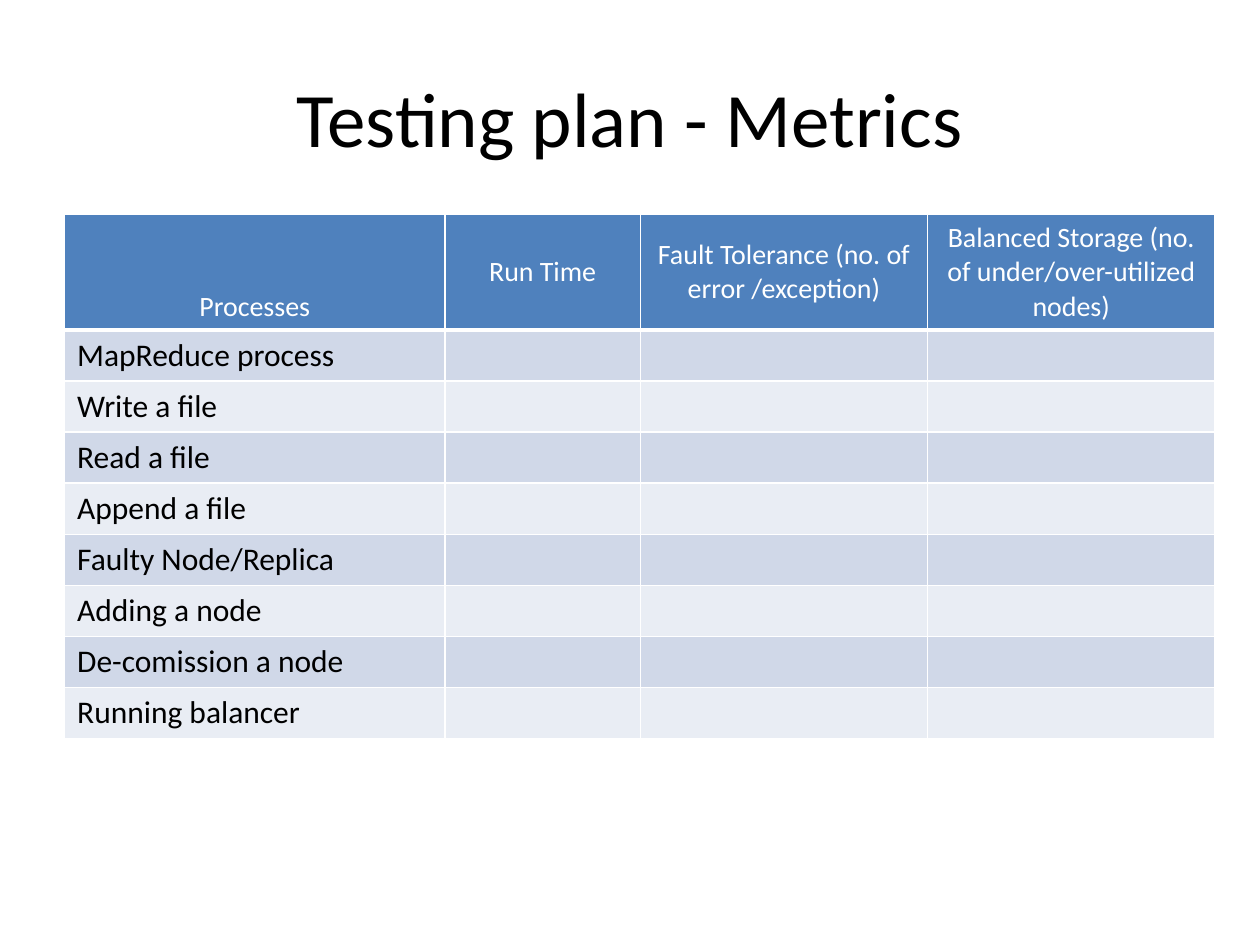
from typing import NamedTuple

from lxml.etree import SubElement
from pptx import Presentation
from pptx.dml.color import RGBColor
from pptx.enum.text import MSO_ANCHOR as Anchor, PP_ALIGN as Align
from pptx.oxml.ns import qn
from pptx.util import Pt

WHITE = RGBColor(0xFF, 0xFF, 0xFF)
BLACK = RGBColor(0, 0, 0)
HEADER_BLUE = RGBColor(0x4F, 0x81, 0xBD)
BAND_DARK = RGBColor(0xD0, 0xD8, 0xE8)
BAND_LIGHT = RGBColor(0xE9, 0xED, 0xF4)
FONT = "Calibri"
ROW_HEIGHT = Pt(29.2)


class Metric(NamedTuple):
    heading: str
    width: float
    anchor: Anchor = Anchor.MIDDLE


class CellStyle(NamedTuple):
    fill: RGBColor
    color: RGBColor
    size: float
    align: Align
    bottom_line: float = 1


METRICS = [
    Metric("Processes", 217.4, Anchor.BOTTOM),
    Metric("Run Time", 111.6),
    Metric("Fault Tolerance (no. of error /exception)", 164.2),
    Metric("Balanced Storage (no. of under/over-utilized nodes)", 164.2),
]
PROCESSES = [
    "MapReduce process", "Write a file", "Read a file", "Append a file",
    "Faulty Node/Replica", "Adding a node", "De-comission a node", "Running balancer",
]
HEADER = CellStyle(HEADER_BLUE, WHITE, 16, Align.CENTER, 3)
BANDS = [CellStyle(fill, BLACK, 18, Align.LEFT) for fill in (BAND_DARK, BAND_LIGHT)]


def style_text(paragraph, size: float, color: RGBColor, align: Align) -> None:
    paragraph.alignment = align
    font = paragraph.font
    font.name, font.size, font.bold = FONT, Pt(size), False
    font.color.rgb = color


def add_borders(cell, bottom: float) -> None:
    properties = cell._tc.get_or_add_tcPr()
    for side, width in (("L", 1), ("R", 1), ("T", 1), ("B", bottom)):
        line = SubElement(properties, qn(f"a:ln{side}"), w=str(Pt(width)))
        SubElement(SubElement(line, qn("a:solidFill")), qn("a:srgbClr"), val=str(WHITE))


def fill_cell(cell, text: str, style: CellStyle, anchor: Anchor = Anchor.TOP) -> None:
    cell.text = text
    cell.vertical_anchor = anchor
    add_borders(cell, style.bottom_line)
    cell.fill.solid()
    cell.fill.fore_color.rgb = style.fill
    style_text(cell.text_frame.paragraphs[0], style.size, style.color, style.align)


def add_title(slide, text: str) -> None:
    title = slide.shapes.title
    title.left, title.top, title.width, title.height = Pt(36), Pt(21.6), Pt(648), Pt(90)
    title.text_frame.text = text
    title.text_frame.vertical_anchor = Anchor.MIDDLE
    style_text(title.text_frame.paragraphs[0], 44, BLACK, Align.CENTER)


def add_metrics_table(slide) -> None:
    width = Pt(sum(metric.width for metric in METRICS))
    row_count = len(PROCESSES) + 1
    table = slide.shapes.add_table(
        row_count, len(METRICS), Pt(36.9), Pt(122.6), width, ROW_HEIGHT * row_count
    ).table
    for row in table.rows:
        row.height = ROW_HEIGHT
    for column, metric in enumerate(METRICS):
        table.columns[column].width = Pt(metric.width)
        fill_cell(table.cell(0, column), metric.heading, HEADER, metric.anchor)
        for index, process in enumerate(PROCESSES):
            text = process if column == 0 else ""
            fill_cell(table.cell(index + 1, column), text, BANDS[index % 2])


def main() -> None:
    """Build the slide with the table of testing metrics."""
    deck = Presentation()
    deck.slide_width, deck.slide_height = Pt(720), Pt(540)
    slide = deck.slides.add_slide(deck.slide_layouts[5])
    add_title(slide, "Testing plan - Metrics")
    add_metrics_table(slide)
    deck.save("out.pptx")


main()
